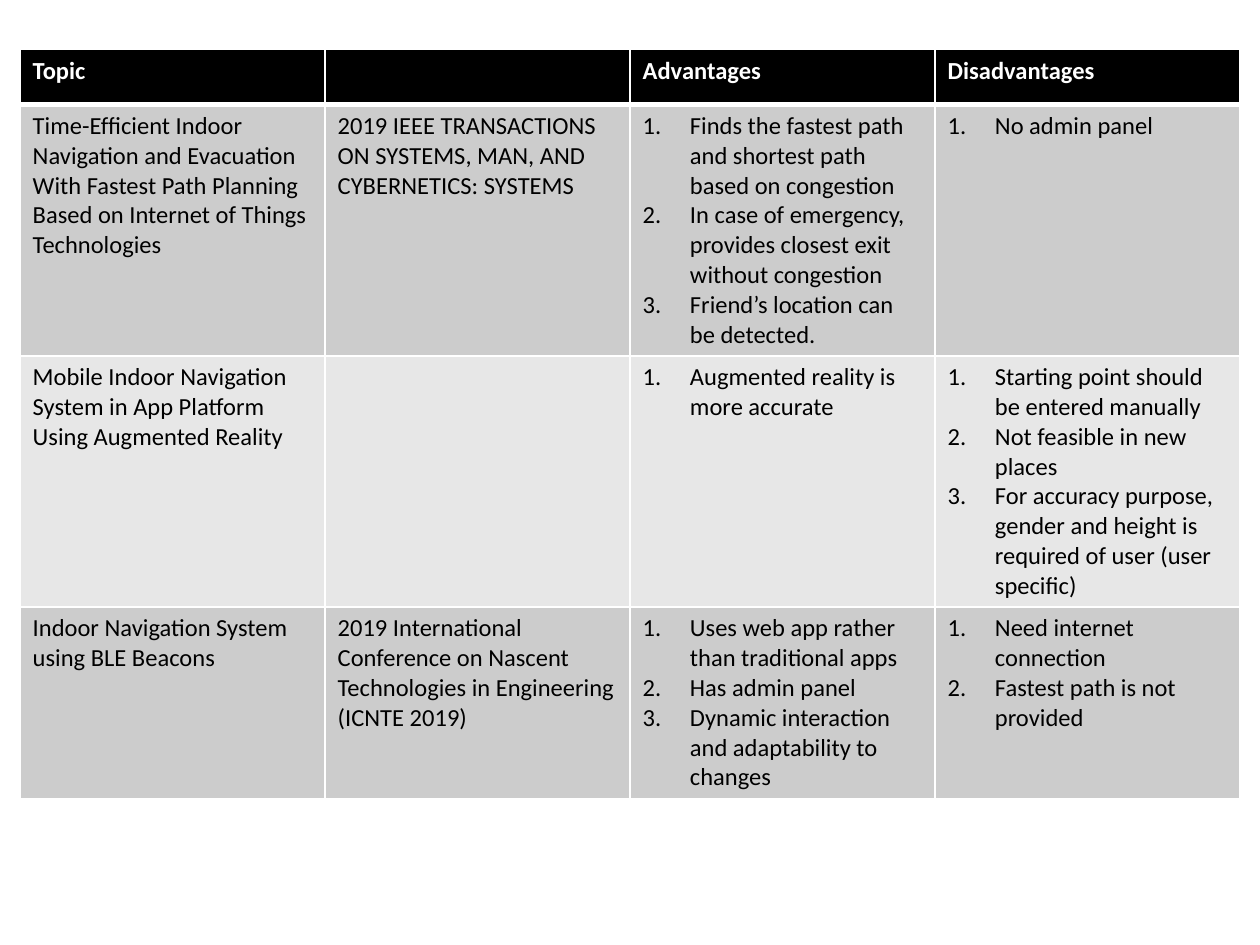
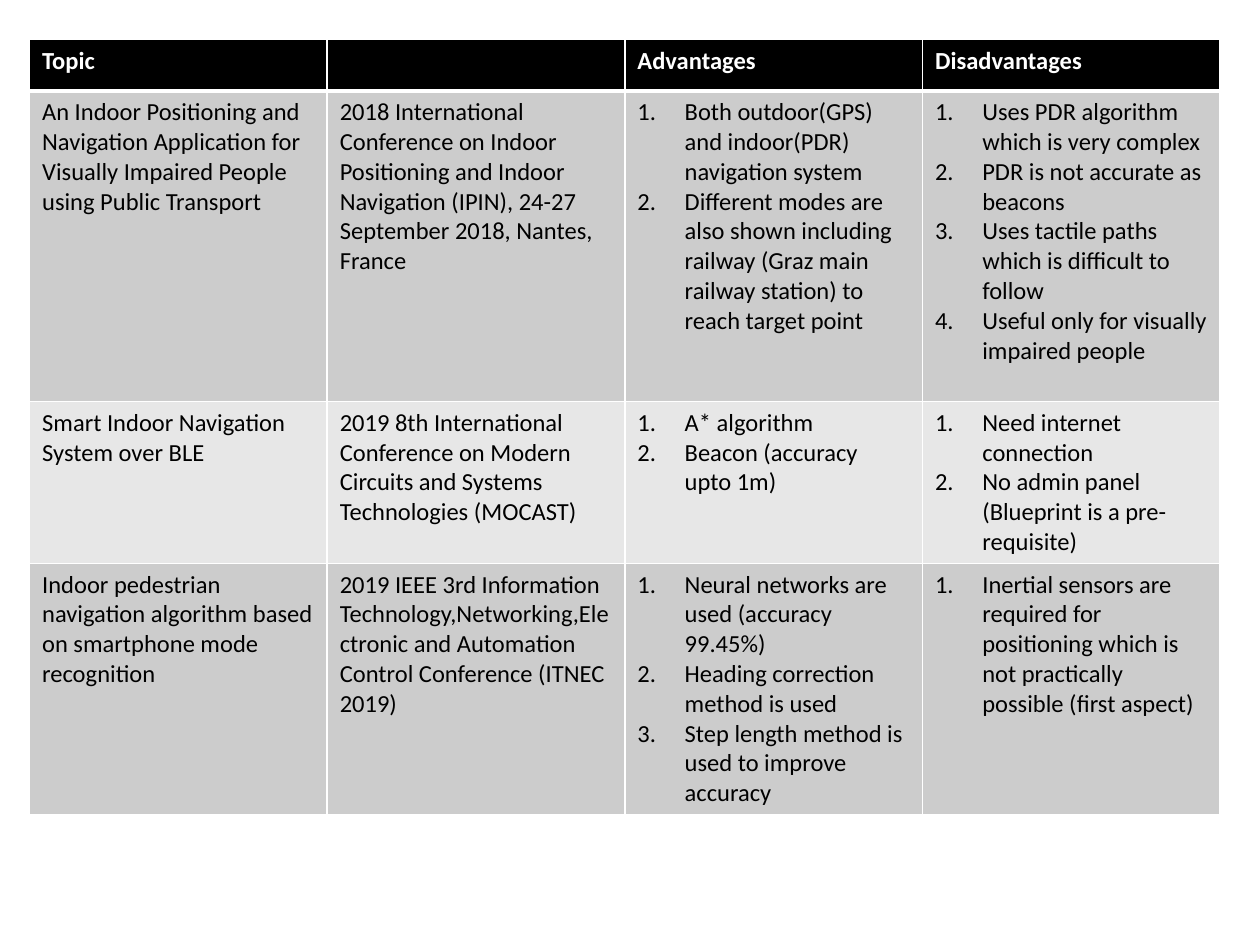
from dataclasses import dataclass

from lxml import etree
from pptx import Presentation
from pptx.dml.color import RGBColor
from pptx.oxml import ns
from pptx.util import Pt


@dataclass(frozen=True)
class Theme:
    font: str = "Calibri"
    text_size: float = 14
    header_fill: str = "000000"
    header_text: str = "FFFFFF"
    body_text: str = "000000"
    bands: tuple = ("CCCCCC", "E7E7E7")
    rule: str = "FFFFFF"
    thin_rule: float = 1
    header_rule: float = 3
    list_indent: float = 27


THEME = Theme()
HEADINGS = ("Topic", "", "Advantages", "Disadvantages")

# Each paper: topic, publication, advantages, disadvantages
FIRST_PAPERS = [
    ("Time-Efﬁcient Indoor Navigation and Evacuation With Fastest Path Planning "
     "Based on Internet of Things Technologies",
     "2019 IEEE TRANSACTIONS ON SYSTEMS, MAN, AND CYBERNETICS: SYSTEMS",
     ["Finds the fastest path and shortest path based on congestion",
      "In case of emergency, provides closest exit without congestion",
      "Friend’s location can be detected."],
     ["No admin panel"]),
    ("Mobile Indoor Navigation System in App Platform Using Augmented Reality",
     "",
     ["Augmented reality is more accurate"],
     ["Starting point should be entered manually",
      "Not feasible in new places",
      "For accuracy purpose, gender and height is required of user (user specific)"]),
    ("Indoor Navigation System using BLE Beacons",
     "2019 International Conference on Nascent Technologies in Engineering (ICNTE 2019)",
     ["Uses web app rather than traditional apps",
      "Has admin panel",
      "Dynamic interaction and adaptability to changes"],
     ["Need internet connection", "Fastest path is not provided"]),
]

SECOND_PAPERS = [
    ("An Indoor Positioning and Navigation Application for Visually Impaired People "
     "using Public Transport",
     "2018 International Conference on Indoor Positioning and Indoor Navigation (IPIN), "
     "24-27 September 2018, Nantes, France",
     ["Both outdoor(GPS) and indoor(PDR) navigation system",
      "Different modes are also shown including railway (Graz main railway station) "
      "to reach target point"],
     ["Uses PDR algorithm which is very complex",
      "PDR is not accurate as beacons",
      "Uses tactile paths which is difficult to follow",
      "Useful only for visually impaired people"]),
    ("Smart Indoor Navigation System over BLE",
     "2019 8th International Conference on Modern Circuits and Systems Technologies (MOCAST)",
     ["A* algorithm", "Beacon (accuracy upto 1m)"],
     ["Need internet connection", "No admin panel (Blueprint is a pre-requisite)"]),
    ("Indoor pedestrian navigation algorithm based on smartphone mode recognition",
     "2019 IEEE 3rd Information Technology,Networking,Electronic and Automation "
     "Control Conference (ITNEC 2019)",
     ["Neural networks are used (accuracy 99.45%)",
      "Heading correction method is used",
      "Step length method is used to improve accuracy"],
     ["Inertial sensors are required for positioning which is not practically "
      "possible (first aspect)"]),
]


def number_paragraph(paragraph):
    """Turn a paragraph into an item of a numbered list."""
    properties = paragraph._p.get_or_add_pPr()
    indent = Pt(THEME.list_indent)
    properties.set("marL", str(indent))
    properties.set("indent", str(-indent))
    etree.SubElement(properties, ns.qn("a:buFont"), typeface="+mj-lt")
    etree.SubElement(properties, ns.qn("a:buAutoNum"), type="arabicPeriod")


def write(frame, content, color=THEME.body_text, bold=False):
    """Write a string as plain text, or a list as numbered items."""
    numbered = isinstance(content, list)
    for index, line in enumerate(content if numbered else [content]):
        paragraph = frame.add_paragraph() if index else frame.paragraphs[0]
        if numbered:
            number_paragraph(paragraph)
        if not line:
            continue
        run = paragraph.add_run()
        run.text = line
        run.font.name = THEME.font
        run.font.size = Pt(THEME.text_size)
        run.font.bold = bold
        run.font.color.rgb = RGBColor.from_string(color)


def rule_cell(cell, top, bottom):
    """Draw the four borders of a cell; widths are in points."""
    properties = cell._tc.get_or_add_tcPr()
    widths = {"L": THEME.thin_rule, "R": THEME.thin_rule, "T": top, "B": bottom}
    for side, width in widths.items():
        line = etree.SubElement(properties, ns.qn(f"a:ln{side}"), w=str(Pt(width)))
        fill = etree.SubElement(line, ns.qn("a:solidFill"))
        etree.SubElement(fill, ns.qn("a:srgbClr"), val=THEME.rule)


def style_cell(cell, fill, top=THEME.thin_rule, bottom=THEME.thin_rule):
    rule_cell(cell, top, bottom)
    cell.fill.solid()
    cell.fill.fore_color.rgb = RGBColor.from_string(fill)


def add_survey_slide(deck, papers, left, top, width, row_heights):
    """Add a slide with the comparison table of the given papers."""
    slide = deck.slides.add_slide(deck.slide_layouts[6])
    survey = slide.shapes.add_table(
        len(papers) + 1, len(HEADINGS),
        Pt(left), Pt(top), Pt(width), Pt(sum(row_heights))).table
    for row, height in zip(survey.rows, row_heights):
        row.height = Pt(height)

    # Header row
    for column, heading in enumerate(HEADINGS):
        cell = survey.cell(0, column)
        style_cell(cell, THEME.header_fill, bottom=THEME.header_rule)
        write(cell.text_frame, heading, color=THEME.header_text, bold=True)

    # One banded row for each paper
    for index, paper in enumerate(papers):
        band = THEME.bands[index % len(THEME.bands)]
        top_rule = THEME.thin_rule if index else THEME.header_rule
        for column, content in enumerate(paper):
            cell = survey.cell(index + 1, column)
            style_cell(cell, band, top=top_rule)
            write(cell.text_frame, content)


def main():
    deck = Presentation()
    deck.slide_width, deck.slide_height = Pt(720), Pt(540)
    add_survey_slide(deck, FIRST_PAPERS, left=11.5, top=28.4, width=697.2,
                     row_heights=(31.5, 143.3, 143.3, 109.5))
    add_survey_slide(deck, SECOND_PAPERS, left=16.9, top=22.6, width=680.4,
                     row_heights=(29.5, 177.5, 92.3, 143))
    deck.save("out.pptx")


if __name__ == "__main__":
    main()
